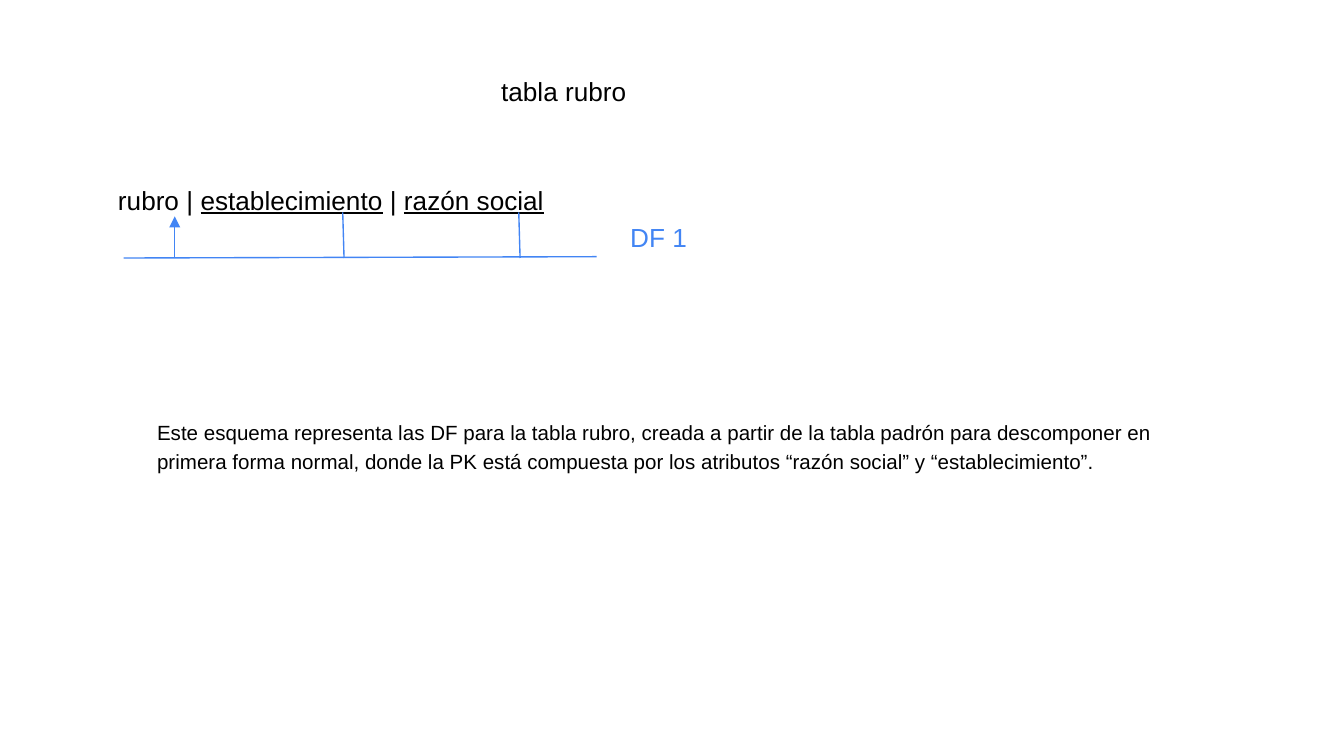
import pptx
import pptx.util
import pptx.dml.color
import pptx.enum.shapes
import pptx.enum.text
import pptx.oxml.ns
from lxml import etree

Inches = pptx.util.Inches
Pt = pptx.util.Pt
qn = pptx.oxml.ns.qn
BLACK = pptx.dml.color.RGBColor(0x00, 0x00, 0x00)
BLUE = pptx.dml.color.RGBColor(0x42, 0x85, 0xF4)

TITLE = {"at": (3.63, 0.46, 4.45, 0.67), "spans": [("tabla rubro", False)]}
SCHEMA = {
    "at": (0.78, 1.27, 4, 0.44),
    "spans": [("rubro | ", False), ("establecimiento", True), (" | ", False),
              ("razón social", True), (" ", False)],
}
DEPENDENCY = {"at": (4.59, 1.55, 4.45, 0.44), "color": BLUE, "spans": [("DF 1", False)]}
EXPLANATION = {
    "at": (1.07, 3, 7.81, 0.6), "size": 11, "spacing": 1.15,
    "spans": [("Este esquema representa las DF para la tabla rubro, creada a partir de "
               "la tabla padrón para descomponer en primera forma normal, donde la PK "
               "está compuesta por los atributos “razón social” y “establecimiento”.",
               False)],
}

BASE_Y = 1.92
LINES = [
    ((0.92, BASE_Y), (4.44, 1.91), False),
    ((1.3, BASE_Y), (1.3, 1.61), True),
    ((2.55, 1.58), (2.56, BASE_Y), False),
    ((3.86, 1.58), (3.87, BASE_Y), False),
]


def add_text(page, at, spans, size=14, color=BLACK, spacing=None):
    box = page.shapes.add_textbox(*map(Inches, at))
    frame = box.text_frame
    frame.word_wrap = True
    frame.auto_size = pptx.enum.text.MSO_AUTO_SIZE.SHAPE_TO_FIT_TEXT
    frame.margin_left = frame.margin_right = Inches(0.1)
    frame.margin_top = frame.margin_bottom = Inches(0.1)
    para = frame.paragraphs[0]
    para.line_spacing = spacing
    for text, underlined in spans:
        span = para.add_run()
        span.text = text
        span.font.name = "Arial"
        span.font.size = Pt(size)
        span.font.color.rgb = color
        span.font.underline = underlined


def add_line(page, start, end, arrow):
    line = page.shapes.add_connector(
        pptx.enum.shapes.MSO_CONNECTOR.STRAIGHT, *map(Inches, start + end))
    line.line.color.rgb = BLUE
    line.line.width = Pt(0.75)
    properties = line._element.spPr
    if arrow:
        etree.SubElement(properties.find(qn("a:ln")), qn("a:tailEnd"), type="triangle")
    etree.SubElement(properties, qn("a:effectLst"))


deck = pptx.Presentation()
deck.slide_width = Inches(10)
deck.slide_height = deck.slide_width * 9 // 16
page = deck.slides.add_slide(deck.slide_layouts[6])

for text in (TITLE, SCHEMA):
    add_text(page, **text)
for line in LINES:
    add_line(page, *line)
for text in (DEPENDENCY, EXPLANATION):
    add_text(page, **text)

deck.save("out.pptx")
